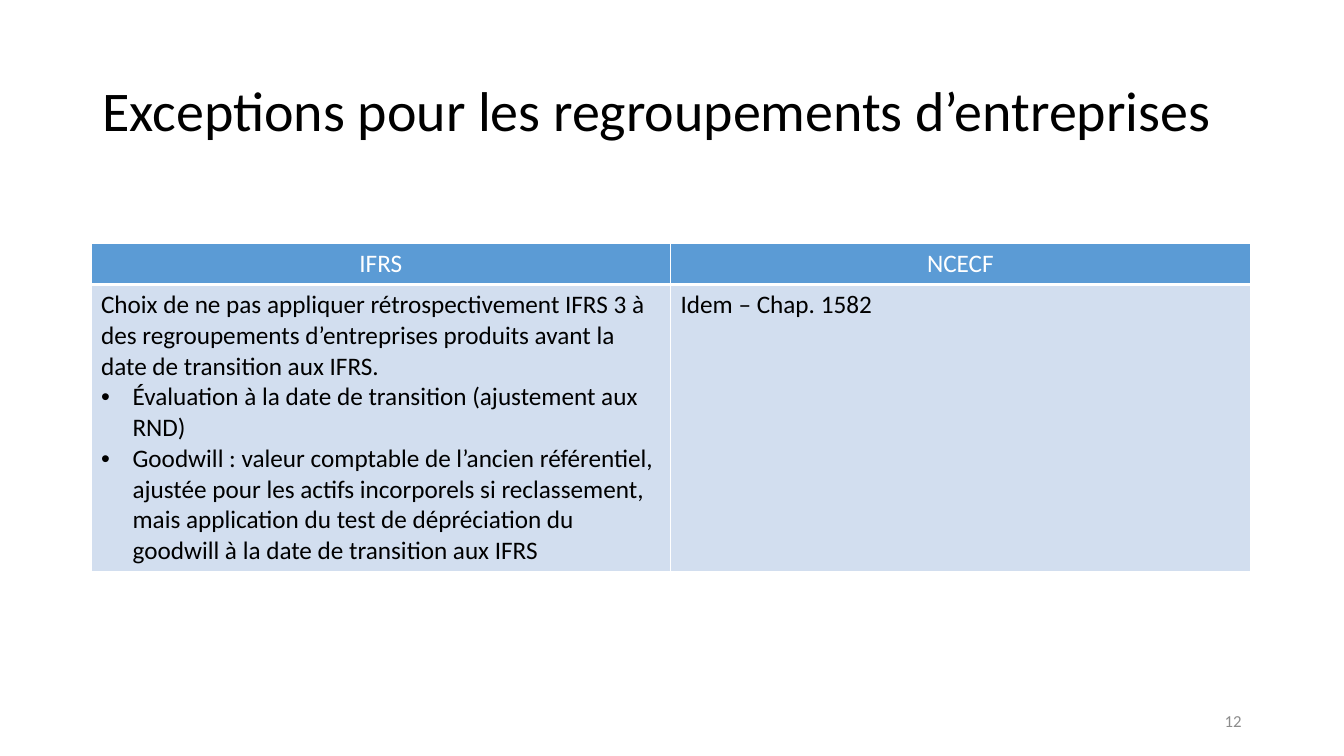
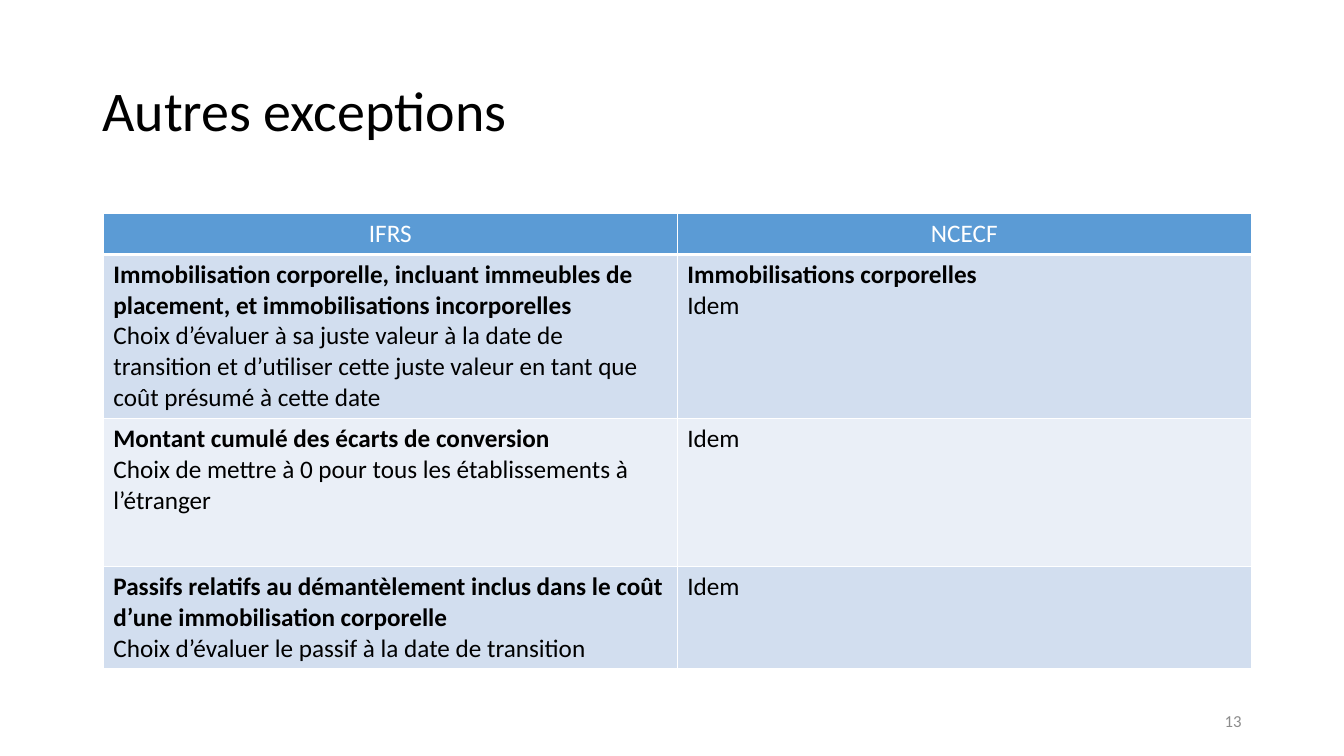
from dataclasses import dataclass

import pptx
import pptx.dml.color
import pptx.enum.text
import pptx.oxml
import pptx.oxml.ns
import pptx.util

Pt = pptx.util.Pt
ALIGN = pptx.enum.text.PP_ALIGN
RGB = pptx.dml.color.RGBColor.from_string


@dataclass(frozen=True)
class Theme:
    font: str = "Calibri"
    title_size: int = 40
    body_size: int = 18
    number_size: int = 12
    text: str = "000000"
    white: str = "FFFFFF"
    muted: str = "8C8C8C"
    header: str = "5B9BD5"
    bands: tuple = ("D2DEEF", "EAEFF7")


@dataclass(frozen=True)
class Para:
    text: str
    bold: bool = False
    bullet: bool = False


THEME = Theme()
HEADINGS = ("IFRS", "NCECF")
BULLET_INDENT = 22.5


def add_xml(parent, tag, body="", **attrs):
    """Append one DrawingML element to parent."""
    attr_text = "".join(f' {name}="{value}"' for name, value in attrs.items())
    ns = pptx.oxml.ns.nsdecls("a")
    parent.append(pptx.oxml.parse_xml(f"<a:{tag} {ns}{attr_text}>{body}</a:{tag}>"))


def add_bullet(p):
    pPr = p._p.get_or_add_pPr()
    indent = Pt(BULLET_INDENT)
    pPr.set("marL", str(indent))
    pPr.set("indent", str(-indent))
    add_xml(pPr, "buFont", typeface="Arial")
    add_xml(pPr, "buChar", char="•")


def write(tf, paras, size=THEME.body_size, color=THEME.text,
          align=ALIGN.LEFT, line_spacing=None):
    """Fill a text frame with a string or a sequence of Para."""
    if isinstance(paras, str):
        paras = [Para(paras)]
    for i, para in enumerate(paras):
        p = tf.add_paragraph() if i else tf.paragraphs[0]
        p.alignment = align
        if line_spacing:
            p.line_spacing = line_spacing
        if para.bullet:
            add_bullet(p)
        r = p.add_run()
        r.text = para.text
        r.font.name = THEME.font
        r.font.size = Pt(size)
        r.font.bold = para.bold
        r.font.color.rgb = RGB(color)


def add_text(s, left, top, width, height, text, **fmt):
    tf = s.shapes.add_textbox(Pt(left), Pt(top), Pt(width), Pt(height)).text_frame
    tf.word_wrap = True
    tf.vertical_anchor = pptx.enum.text.MSO_ANCHOR.MIDDLE
    write(tf, text, **fmt)


def style_cell(cell, fill, bottom=1):
    """Draw white borders, then the fill, in the order the schema asks for."""
    tcPr = cell._tc.get_or_add_tcPr()
    line = f'<a:solidFill><a:srgbClr val="{THEME.white}"/></a:solidFill>'
    for side, width in (("L", 1), ("R", 1), ("T", 1), ("B", bottom)):
        add_xml(tcPr, f"ln{side}", line, w=int(Pt(width)))
    cell.fill.solid()
    cell.fill.fore_color.rgb = RGB(fill)


def add_comparison(s, left, top, width, heights, rows):
    """Add a table with the two frameworks side by side and banded rows."""
    frame = s.shapes.add_table(len(rows) + 1, len(HEADINGS), Pt(left), Pt(top),
                               Pt(width), Pt(sum(heights)))
    table = frame.table
    for column in table.columns:
        column.width = Pt(width / len(HEADINGS))
    for row, height in zip(table.rows, heights):
        row.height = Pt(height)
    for col, heading in enumerate(HEADINGS):
        cell = table.cell(0, col)
        style_cell(cell, THEME.header, bottom=3)
        write(cell.text_frame, heading, color=THEME.white, align=ALIGN.CENTER)
    for i, row in enumerate(rows):
        for col, paras in enumerate(row):
            cell = table.cell(i + 1, col)
            style_cell(cell, THEME.bands[i % len(THEME.bands)])
            write(cell.text_frame, paras)


def add_slide(prs, title, number):
    """Add a blank slide with the shared title and slide number."""
    s = prs.slides.add_slide(prs.slide_layouts[6])
    add_text(s, 66, 28.8, 828, 104.4, title,
             size=THEME.title_size, line_spacing=0.9)
    add_text(s, 678, 500.4, 216, 28.8, str(number), size=THEME.number_size,
             color=THEME.muted, align=ALIGN.RIGHT)
    return s


def main():
    prs = pptx.Presentation()
    prs.slide_width, prs.slide_height = Pt(960), Pt(540)

    s = add_slide(prs, "Exceptions pour les regroupements d’entreprises", 12)
    add_comparison(s, 65, 174, 828, (29.2, 205), [
        ([Para("Choix de ne pas appliquer rétrospectivement IFRS 3 à des "
               "regroupements d’entreprises produits avant la date de "
               "transition aux IFRS."),
          Para("Évaluation à la date de transition (ajustement aux RND)",
               bullet=True),
          Para("Goodwill : valeur comptable de l’ancien référentiel, ajustée "
               "pour les actifs incorporels si reclassement, mais application "
               "du test de dépréciation du goodwill à la date de transition "
               "aux IFRS", bullet=True)],
         "Idem – Chap. 1582"),
    ])

    s = add_slide(prs, "Autres exceptions", 13)
    add_comparison(s, 73.8, 152.5, 820, (29.2, 117.2, 105.8, 73), [
        ([Para("Immobilisation corporelle, incluant immeubles de placement, "
               "et immobilisations incorporelles", bold=True),
          Para("Choix d’évaluer à sa juste valeur à la date de transition et "
               "d’utiliser cette juste valeur en tant que coût présumé à "
               "cette date")],
         [Para("Immobilisations corporelles", bold=True), Para("Idem")]),
        ([Para("Montant cumulé des écarts de conversion", bold=True),
          Para("Choix de mettre à 0 pour tous les établissements à "
               "l’étranger")],
         "Idem"),
        ([Para("Passifs relatifs au démantèlement inclus dans le coût d’une "
               "immobilisation corporelle", bold=True),
          Para("Choix d’évaluer le passif à la date de transition")],
         "Idem"),
    ])

    prs.save("out.pptx")


if __name__ == "__main__":
    main()
